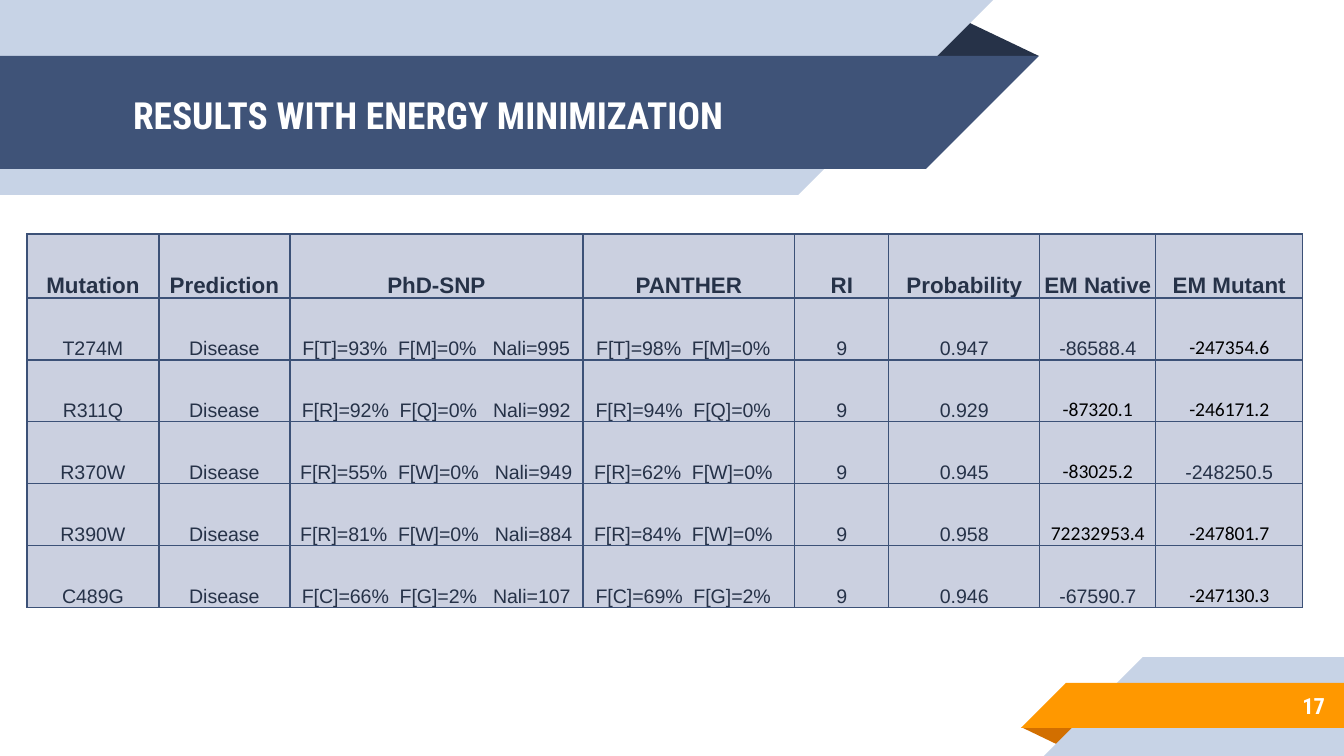
from lxml.etree import SubElement
from pptx import Presentation
from pptx.dml.color import RGBColor
from pptx.enum.shapes import MSO_SHAPE as Preset
from pptx.enum.text import MSO_ANCHOR as Anchor, PP_ALIGN as Align
from pptx.oxml.ns import qn
from pptx.util import Pt

EMU_PER_PX = 914400 / 134.4
NAVY, PALE, DARK = "3F5378", "C7D3E6", "263248"
ORANGE, BROWN, WHITE, BLACK = "FF9800", "D26F00", "FFFFFF", "000000"
CELL_FILL, BORDER = "CBD0E0", "3C5177"
COLUMNS = [132, 131, 293, 212, 94, 151, 116, 147]
HEADER_HEIGHT, ROW_HEIGHT = 64, 62
PANTHER_COLUMN = 3
ROWS = [
    ["Mutation", "Prediction", "PhD-SNP", "PANTHER", "RI", "Probability", "EM Native", "EM Mutant"],
    ["T274M", "Disease", "F[T]=93%  F[M]=0%   Nali=995", "F[T]=98%  F[M]=0%", "9", "0.947", "-86588.4", "-247354.6"],
    ["R311Q", "Disease", "F[R]=92%  F[Q]=0%   Nali=992", "F[R]=94%  F[Q]=0%", "9", "0.929", "-87320.1", "-246171.2"],
    ["R370W", "Disease", "F[R]=55%  F[W]=0%   Nali=949", "F[R]=62%  F[W]=0%", "9", "0.945", "-83025.2", "-248250.5"],
    ["R390W", "Disease", "F[R]=81%  F[W]=0%   Nali=884", "F[R]=84%  F[W]=0%", "9", "0.958", "72232953.4", "-247801.7"],
    ["C489G", "Disease", "F[C]=66%  F[G]=2%   Nali=107", "F[C]=69%  F[G]=2%", "9", "0.946", "-67590.7", "-247130.3"],
]
CALIBRI_CELLS = {(1, 7), (2, 6), (2, 7), (3, 6), (4, 6), (4, 7), (5, 7)}


def px(length):
    return round(length * EMU_PER_PX)


def color(value):
    return RGBColor.from_string(value)


def style(paragraph, size, name, fill, bold, align):
    paragraph.alignment = align
    font = paragraph.font
    font.size, font.name, font.bold = Pt(size), name, bold
    font.color.rgb = color(fill)


def add_block(slide, preset, left, top, width, height, fill, rotation=0):
    shape = slide.shapes.add_shape(preset, px(left), px(top), px(width), px(height))
    shape.shadow.inherit = False
    shape.fill.solid()
    shape.fill.fore_color.rgb = color(fill)
    shape.line.fill.background()
    shape.rotation = rotation
    return shape


def add_fold(slide, left, top, width, height, fill, rotation=0):
    fold = add_block(slide, Preset.ISOSCELES_TRIANGLE, left, top, width, height, fill, rotation)
    fold.adjustments[0] = 0.32


def add_top_band(slide, top, width, height, fill):
    add_block(slide, Preset.RECTANGLE, 0, top, width, height, fill)
    add_block(slide, Preset.RIGHT_TRIANGLE, width, top, height, height, fill, 90)


def add_bottom_band(slide, left, top, height, fill):
    add_block(slide, Preset.RECTANGLE, left, top, 1344 - left, height, fill)
    add_block(slide, Preset.RIGHT_TRIANGLE, left - height, top, height, height, fill, 270)


def add_label(slide, left, top, width, height, text, size, align):
    frame = slide.shapes.add_textbox(px(left), px(top), px(width), px(height)).text_frame
    frame.word_wrap = True
    frame.vertical_anchor = Anchor.MIDDLE
    frame.margin_left = frame.margin_right = frame.margin_top = frame.margin_bottom = px(13)
    frame.text = text
    style(frame.paragraphs[0], size, "Roboto Condensed", WHITE, True, align)


def add_borders(cell):
    properties = cell._tc.get_or_add_tcPr()
    for index, side in enumerate(("lnL", "lnR", "lnT", "lnB")):
        line = properties.makeelement(qn(f"a:{side}"), {"w": str(Pt(0.75))})
        fill = SubElement(line, qn("a:solidFill"))
        SubElement(fill, qn("a:srgbClr"), val=BORDER)
        properties.insert(index, line)


def fill_cell(cell, text, row, column):
    cell.text = text
    cell.vertical_anchor = Anchor.BOTTOM
    cell.margin_left = cell.margin_right = cell.margin_top = px(1)
    cell.margin_bottom = 0
    cell.fill.solid()
    cell.fill.fore_color.rgb = color(CELL_FILL)
    add_borders(cell)
    header = row == 0
    if column == PANTHER_COLUMN and not header:
        cell.margin_right = px(12)
    name, fill = ("Calibri", BLACK) if (row, column) in CALIBRI_CELLS else ("Arial", DARK)
    style(cell.text_frame.paragraphs[0], 12 if header else 10.5, name, fill, header, Align.CENTER)


def add_results_table(slide, left, top):
    heights = [HEADER_HEIGHT] + [ROW_HEIGHT] * (len(ROWS) - 1)
    table = slide.shapes.add_table(
        len(ROWS), len(COLUMNS), px(left), px(top), px(sum(COLUMNS)), px(sum(heights))
    ).table
    table.horz_banding = False
    table.first_row = False
    for column, width in zip(table.columns, COLUMNS):
        column.width = px(width)
    for row, height in zip(table.rows, heights):
        row.height = px(height)
    for row, values in enumerate(ROWS):
        for column, text in enumerate(values):
            fill_cell(table.cell(row, column), text, row, column)


def main():
    presentation = Presentation()
    presentation.slide_width, presentation.slide_height = px(1344), px(756)
    slide = presentation.slides.add_slide(presentation.slide_layouts[6])
    add_fold(slide, 925, 19, 114, 37, DARK)
    add_top_band(slide, 0, 798, 195, PALE)
    add_top_band(slide, 56, 926, 113, NAVY)
    add_fold(slide, 1021, 727, 58, 19, BROWN, 180)
    add_bottom_band(slide, 1143, 657, 99, PALE)
    add_bottom_band(slide, 1066, 683, 45, ORANGE)
    add_label(slide, 120, 58, 773, 113, "RESULTS WITH ENERGY MINIMIZATION", 20, Align.LEFT)
    add_label(slide, 1119, 682, 219, 47, "17", 12, Align.RIGHT)
    add_results_table(slide, 27, 234)
    presentation.save("out.pptx")


if __name__ == "__main__":
    main()
